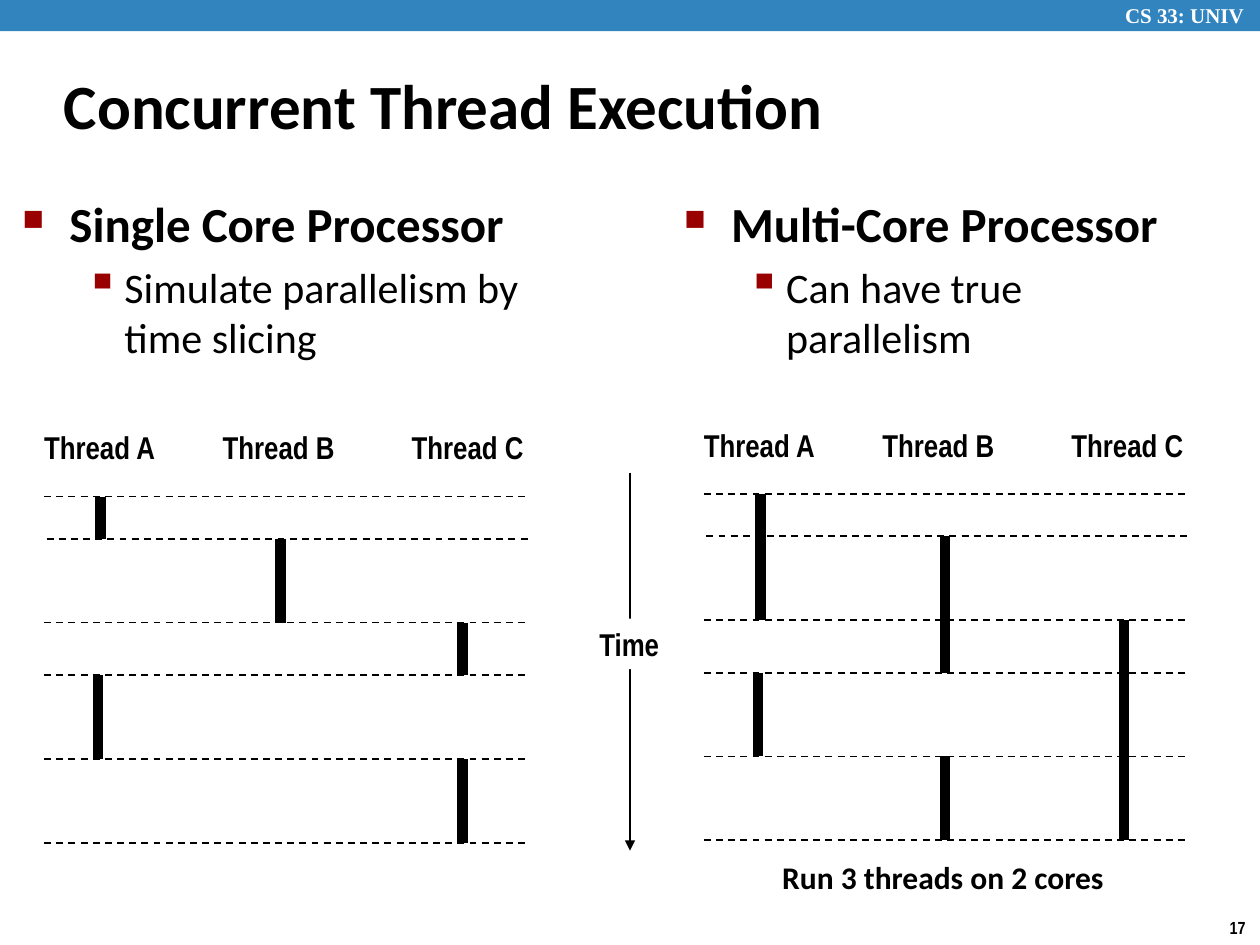
from dataclasses import dataclass

from lxml.etree import SubElement
from pptx import Presentation
from pptx.dml.color import RGBColor
from pptx.enum.dml import MSO_LINE_DASH_STYLE as Dash
from pptx.enum.shapes import MSO_CONNECTOR as Connector, MSO_SHAPE as Preset
from pptx.enum.text import MSO_ANCHOR as Anchor, MSO_AUTO_SIZE as AutoSize, PP_ALIGN as Align
from pptx.oxml.ns import qn
from pptx.util import Cm, Pt


@dataclass(frozen=True)
class Theme:
    ink: RGBColor = RGBColor(0, 0, 0)
    paper: RGBColor = RGBColor(255, 255, 255)
    band: RGBColor = RGBColor(0x32, 0x84, 0xBF)
    bullet: str = "990000"
    body_font: str = "Calibri"
    label_font: str = "Arial Narrow"
    course_font: str = "Times New Roman"
    title_size: int = 36
    topic_size: int = 28
    detail_size: int = 24
    label_size: int = 18
    course_size: int = 12
    number_size: int = 10


THEME = Theme()


@dataclass(frozen=True)
class Label:
    text: str
    left: float
    top: float
    width: float
    height: float = 1.02
    size: int = THEME.label_size
    font: str = THEME.label_font
    color: RGBColor = THEME.ink


@dataclass(frozen=True)
class Level:
    size: int
    bold: bool
    margin: float
    hang: float
    before: int
    bullet: str
    bullet_percent: int


@dataclass(frozen=True)
class Run:
    """A thread running from one time mark to another."""
    x: float
    start: int
    end: int


@dataclass(frozen=True)
class Processor:
    topic: str
    detail: str
    body_left: float
    chart_left: float
    chart_top: float
    runs: tuple[Run, ...]


TOPIC = Level(THEME.topic_size, True, 0.95, 0.95, 6, "■", 60)
DETAIL = Level(THEME.detail_size, False, 2.06, 0.79, 5, "▪", 110)

# Diagram geometry in cm, relative to the corner of a diagram
TIME_MARKS = (0, 0.85, 2.54, 3.6, 5.29, 6.98)
MARK_WIDTH = 9.7
THREADS = {"Thread A": -0.25, "Thread B": 3.35, "Thread C": 7.16}

PROCESSORS = (
    Processor("Single Core Processor", "Simulate parallelism by time slicing",
              0.2, 0.89, 10.01,
              (Run(1.14, 0, 1), Run(4.77, 1, 2), Run(8.43, 2, 3),
               Run(1.09, 3, 4), Run(8.43, 4, 5))),
    Processor("Multi-Core Processor", "Can have true parallelism",
              13.54, 14.19, 9.96,
              (Run(1.14, 0, 2), Run(4.86, 1, 3), Run(8.47, 2, 5),
               Run(1.09, 3, 4), Run(4.86, 4, 5))),
)


def apply_format(target, values: dict) -> None:
    for name, value in values.items():
        setattr(target, name, value)


def format_run(run, font: str, size: int, bold: bool, color: RGBColor) -> None:
    apply_format(run.font, {"name": font, "size": Pt(size), "bold": bold})
    run.font.color.rgb = color


def write_label(shape, label: Label, align: Align, anchor: Anchor) -> None:
    frame = shape.text_frame
    apply_format(frame, {"word_wrap": False, "auto_size": AutoSize.NONE,
                         "vertical_anchor": anchor})
    paragraph = frame.paragraphs[0]
    paragraph.alignment = align
    run = paragraph.add_run()
    run.text = label.text
    format_run(run, label.font, label.size, True, label.color)


def add_label(slide, label: Label, anchor: Anchor = Anchor.TOP) -> None:
    box = slide.shapes.add_textbox(Cm(label.left), Cm(label.top),
                                   Cm(label.width), Cm(label.height))
    write_label(box, label, Align.LEFT, anchor)


def add_block(slide, left: float, top: float, width: float, height: float,
              fill: RGBColor):
    block = slide.shapes.add_shape(Preset.RECTANGLE, Cm(left), Cm(top),
                                   Cm(width), Cm(height))
    block.shadow.inherit = False
    block.fill.solid()
    block.fill.fore_color.rgb = fill
    block.line.fill.background()
    return block


def add_line(slide, x1: float, y1: float, x2: float, y2: float,
             weight: float = 1, dash: Dash | None = None, arrow: bool = False) -> None:
    line = slide.shapes.add_connector(Connector.STRAIGHT, Cm(x1), Cm(y1), Cm(x2), Cm(y2))
    line.line.color.rgb = THEME.ink
    apply_format(line.line, {"width": Pt(weight), "dash_style": dash})
    if arrow:
        SubElement(line.line._get_or_add_ln(), qn("a:tailEnd"), type="triangle")
    SubElement(line._element.spPr, qn("a:effectLst"))


def write_bullet(paragraph, text: str, level: Level) -> None:
    paragraph.space_before = Pt(level.before)
    run = paragraph.add_run()
    run.text = text
    format_run(run, THEME.body_font, level.size, level.bold, THEME.ink)
    props = paragraph._p.get_or_add_pPr()
    props.set("marL", str(Cm(level.margin)))
    props.set("indent", str(-Cm(level.hang)))
    color = SubElement(props, qn("a:buClr"))
    SubElement(color, qn("a:srgbClr"), val=THEME.bullet)
    SubElement(props, qn("a:buSzPct"), val=str(level.bullet_percent * 1000))
    SubElement(props, qn("a:buChar"), char=level.bullet)


def add_points(slide, processor: Processor) -> None:
    box = slide.shapes.add_textbox(Cm(processor.body_left), Cm(3.78), Cm(10.74), Cm(13.82))
    frame = box.text_frame
    frame.word_wrap = True
    write_bullet(frame.paragraphs[0], processor.topic, TOPIC)
    write_bullet(frame.add_paragraph(), processor.detail, DETAIL)


def add_diagram(slide, processor: Processor) -> None:
    left, top = processor.chart_left, processor.chart_top
    for name, offset in THREADS.items():
        add_label(slide, Label(name, left + offset, top - 1.5, 2.79))
    for run in processor.runs:
        add_line(slide, left + run.x, top + TIME_MARKS[run.start],
                 left + run.x, top + TIME_MARKS[run.end], weight=6)
    for index, mark in enumerate(TIME_MARKS):
        start = left + (0.05 if index == 1 else 0)
        add_line(slide, start, top + mark, start + MARK_WIDTH, top + mark, dash=Dash.DASH)


def main() -> None:
    deck = Presentation()
    apply_format(deck, {"slide_width": Cm(25.4), "slide_height": Cm(19.05)})
    slide = deck.slides.add_slide(deck.slide_layouts[6])

    # Header band, page number and title
    add_block(slide, 0, 0, 25.4, 0.63, THEME.band)
    add_label(slide, Label("CS 33: UNIV", 22.43, -0.08, 3.15, 0.76,
                           THEME.course_size, THEME.course_font, THEME.paper))
    add_label(slide, Label("17", 24.54, 18.36, 0.86, 0.69, THEME.number_size))
    add_label(slide, Label("Concurrent Thread Execution", 1.04, 1.04, 21.08, 2.11,
                           THEME.title_size, THEME.body_font), Anchor.MIDDLE)

    # Time axis, with its label over the line
    add_line(slide, 12.7, 9.53, 12.7, 17.15, arrow=True)
    time = Label("Time", 11.82, 12.47, 1.73)
    time_block = add_block(slide, time.left, time.top, time.width, time.height, THEME.paper)
    write_label(time_block, time, Align.CENTER, Anchor.TOP)

    # The two processors side by side
    for processor in PROCESSORS:
        add_points(slide, processor)
        add_diagram(slide, processor)
    add_label(slide, Label("Run 3 threads on 2 cores", 15.52, 17.17, 7.06,
                           font=THEME.body_font))

    deck.save("out.pptx")


if __name__ == "__main__":
    main()
